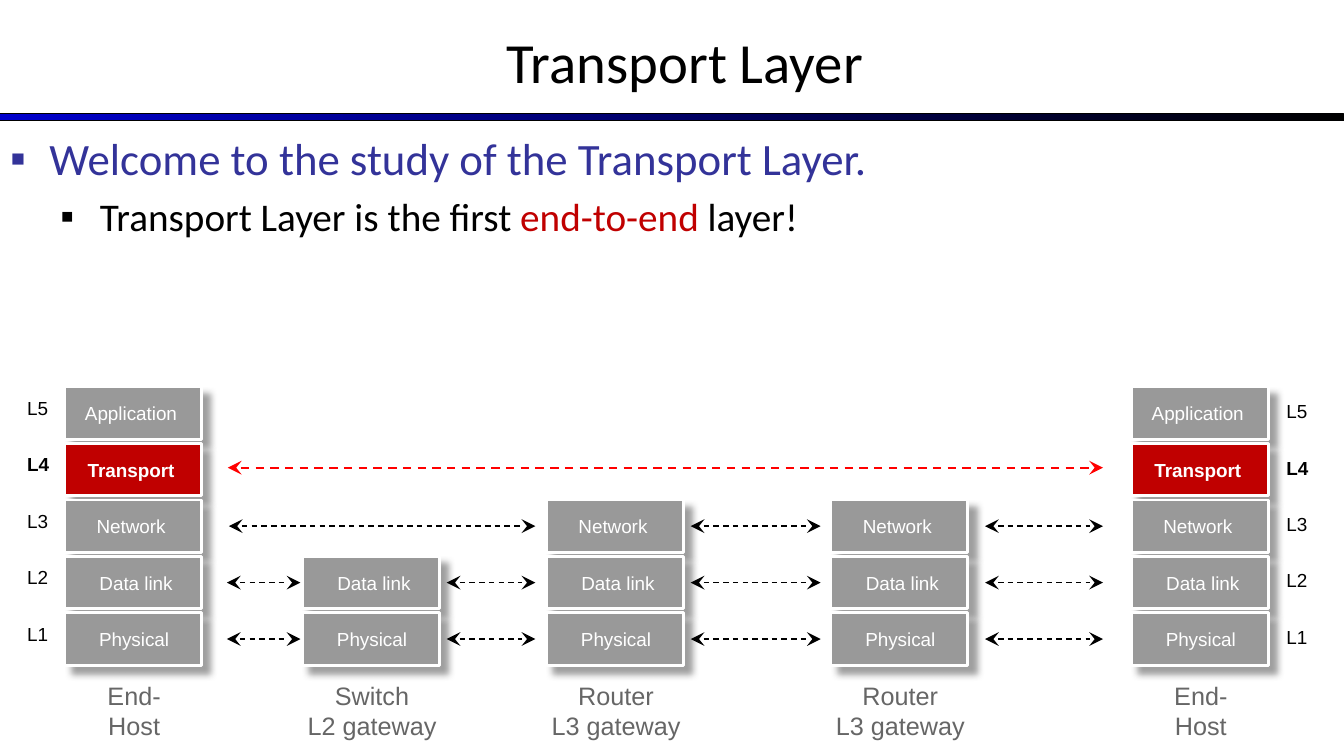
from dataclasses import dataclass

from lxml import etree
from pptx import Presentation
from pptx.dml.color import RGBColor
from pptx.enum.dml import MSO_LINE_DASH_STYLE as DASH
from pptx.enum.shapes import MSO_CONNECTOR, MSO_SHAPE
from pptx.enum.text import MSO_ANCHOR, MSO_AUTO_SIZE, PP_ALIGN
from pptx.oxml import parse_xml
from pptx.oxml.ns import nsdecls, qn
from pptx.util import Inches, Pt


@dataclass(frozen=True)
class Theme:
    heading_font: str = "Calibri"
    diagram_font: str = "Arial"
    black: str = "000000"
    white: str = "FFFFFF"
    blue: str = "0000CC"
    indigo: str = "333399"
    accent: str = "C00000"
    red: str = "FF0000"
    box: str = "999999"
    caption: str = "666666"
    shadow: str = "808080"
    title_size: float = 40.5
    bullet_size: float = 32
    sub_size: float = 28
    caption_size: float = 18
    label_size: float = 13.5


THEME = Theme()
BOX_W, BOX_H = 1.36, 0.52
PHYSICAL_TOP, PITCH = 6.08, 0.56
TRANSPORT = 4

# Layer name and sideways shift of its text, from level 1 upwards
LAYERS = [("Physical", 0.01), ("Data link", 0.03), ("Network", -0.02),
          ("Transport", -0.02), ("Application", -0.02)]
# Left edge, number of layers, caption lines, caption width
NODES = [(0.64, 5, ["End-Host"], 1.02),
         (3, 2, ["Switch", "L2 gateway"], 1.37),
         (5.42, 3, ["Router", "L3 gateway"], 1.37),
         (8.24, 3, ["Router", "L3 gateway"], 1.37),
         (11.22, 5, ["End-Host"], 1.02)]
# Start, end and the levels joined
LINKS = [(2.25, 2.98, [1, 2]), (4.43, 5.31, [1, 2]), (2.27, 5.31, [3]),
         (6.85, 8.14, [1, 2, 3]), (9.77, 10.94, [1, 2, 3])]


def rgb(color):
    return RGBColor.from_string(color)


def level_top(level):
    return PHYSICAL_TOP - PITCH * (level - 1)


def add_run(p, text, size, color, font, bold=False):
    r = p.add_run()
    r.text = text
    r.font.name, r.font.size, r.font.bold = font, Pt(size), bold
    r.font.color.rgb = rgb(color)


def place(sp, left, top, width, height):
    sp.left, sp.top = Inches(left), Inches(top)
    sp.width, sp.height = Inches(width), Inches(height)


def set_margins(tf, left, top, right, bottom):
    tf.margin_left, tf.margin_top = Inches(left), Inches(top)
    tf.margin_right, tf.margin_bottom = Inches(right), Inches(bottom)


def set_bullet(p, color, left, hanging):
    pPr = p._p.get_or_add_pPr()
    pPr.set("marL", str(Inches(left)))
    pPr.set("indent", str(-Inches(hanging)))
    bu_clr = etree.SubElement(pPr, qn("a:buClr"))
    etree.SubElement(bu_clr, qn("a:srgbClr"), val=color)
    etree.SubElement(pPr, qn("a:buFont"), typeface="Arial")
    etree.SubElement(pPr, qn("a:buChar"), char="▪")


def add_title(slide):
    sp = slide.shapes.title
    place(sp, 0, 0, 13.33, 1.21)
    tf = sp.text_frame
    tf.auto_size, tf.vertical_anchor = MSO_AUTO_SIZE.NONE, MSO_ANCHOR.MIDDLE
    p = tf.paragraphs[0]
    p.alignment, p.space_before = PP_ALIGN.CENTER, Pt(8)
    p._p.get_or_add_pPr().set("marL", str(Inches(0.26)))
    add_run(p, "Transport Layer", THEME.title_size, THEME.black, THEME.heading_font)


def add_rule(slide):
    sp = slide.shapes.add_shape(MSO_SHAPE.RECTANGLE, 0, Inches(1.13),
                                Inches(13.33), Inches(0.07))
    sp.shadow.inherit = False
    sp.fill.gradient()
    sp.fill.gradient_angle = 0
    for stop, color, position in zip(sp.fill.gradient_stops,
                                     (THEME.blue, THEME.black), (0, 1)):
        stop.color.rgb, stop.position = rgb(color), position
    sp.line.color.rgb, sp.line.width = rgb(THEME.black), Pt(0.75)


def add_bullets(slide):
    sp = slide.placeholders[1]
    place(sp, 0, 1.25, 13.33, 1.66)
    tf = sp.text_frame
    tf.auto_size = MSO_AUTO_SIZE.NONE
    p = tf.paragraphs[0]
    set_bullet(p, THEME.indigo, 0.39, 0.39)
    add_run(p, "Welcome to the study of the Transport Layer.",
            THEME.bullet_size, THEME.indigo, THEME.heading_font)
    p = tf.add_paragraph()
    p.level = 1
    set_bullet(p, THEME.black, 0.89, 0.39)
    for text, color in (("Transport Layer is the first ", THEME.black),
                        ("end-to-end ", THEME.accent), ("layer!", THEME.black)):
        add_run(p, text, THEME.sub_size, color, THEME.heading_font)


def add_shadow(sp):
    sp._element.spPr.append(parse_xml(
        f'<a:effectLst {nsdecls("a")}><a:outerShdw blurRad="{Pt(5)}" dist="{Pt(8)}" '
        f'dir="2700000" algn="ctr" rotWithShape="0"><a:srgbClr val="{THEME.shadow}">'
        '<a:alpha val="75000"/></a:srgbClr></a:outerShdw></a:effectLst>'))


def add_layer(slide, left, level):
    name, shift = LAYERS[level - 1]
    is_transport = level == TRANSPORT
    sp = slide.shapes.add_shape(MSO_SHAPE.RECTANGLE, Inches(left), Inches(level_top(level)),
                                Inches(BOX_W), Inches(BOX_H))
    sp.fill.solid()
    sp.fill.fore_color.rgb = rgb(THEME.accent if is_transport else THEME.box)
    sp.line.color.rgb, sp.line.width = rgb(THEME.white), Pt(2)
    add_shadow(sp)
    tf = sp.text_frame
    tf.word_wrap, tf.vertical_anchor = True, MSO_ANCHOR.MIDDLE
    set_margins(tf, 0.05 + shift, 0.03, 0.05 - shift, 0.03)
    p = tf.paragraphs[0]
    p.alignment = PP_ALIGN.CENTER
    add_run(p, name, THEME.label_size, THEME.white, THEME.diagram_font, is_transport)


def add_caption(slide, center, lines, width):
    sp = slide.shapes.add_textbox(Inches(center - width / 2), Inches(6.7),
                                  Inches(width), Inches(0.69))
    tf = sp.text_frame
    tf.word_wrap, tf.vertical_anchor = True, MSO_ANCHOR.MIDDLE
    set_margins(tf, 0.04, 0.04, 0.04, 0.04)
    for i, line in enumerate(lines):
        p = tf.add_paragraph() if i else tf.paragraphs[0]
        p.alignment = PP_ALIGN.CENTER
        add_run(p, line, THEME.caption_size, THEME.caption, THEME.diagram_font)


def add_level_label(slide, left, drop, level):
    sp = slide.shapes.add_textbox(Inches(left), Inches(level_top(level) + drop),
                                  Inches(0.3), Inches(0.24))
    tf = sp.text_frame
    tf.word_wrap = False
    set_margins(tf, 0.03, 0.02, 0.05, 0.02)
    p = tf.paragraphs[0]
    p.line_spacing = 0.85
    add_run(p, f"L{level}", THEME.label_size, THEME.black, THEME.diagram_font,
            level == TRANSPORT)


def add_link(slide, start, end, y, color=THEME.black, width=1):
    """Draw a dashed arrow that points both ways."""
    line = slide.shapes.add_connector(MSO_CONNECTOR.STRAIGHT, Inches(start), Inches(y),
                                      Inches(end), Inches(y))
    line.line.color.rgb, line.line.width = rgb(color), Pt(width)
    line.line.dash_style = DASH.DASH
    ln = line.line._get_or_add_ln()
    for tag in ("a:headEnd", "a:tailEnd"):
        etree.SubElement(ln, qn(tag), type="stealth", w="lg", len="lg")
    etree.SubElement(line._element.spPr, qn("a:effectLst"))


def main():
    prs = Presentation()
    prs.slide_width, prs.slide_height = Inches(13.33), Inches(7.5)
    slide = prs.slides.add_slide(prs.slide_layouts[1])
    add_rule(slide)
    add_title(slide)
    add_bullets(slide)
    for left, height, lines, width in NODES:
        for level in range(height, 0, -1):
            add_layer(slide, left, level)
        add_caption(slide, left + BOX_W / 2 + 0.01, lines, width)
    for level in range(1, len(LAYERS) + 1):
        add_level_label(slide, 0.24, 0.11, level)
        add_level_label(slide, 12.73, 0.14, level)
    for start, end, levels in LINKS:
        for level in levels:
            add_link(slide, start, end, level_top(level) + BOX_H / 2)
    add_link(slide, 2.26, 10.94, 4.64, THEME.red, 1.5)
    prs.save("out.pptx")


if __name__ == "__main__":
    main()
